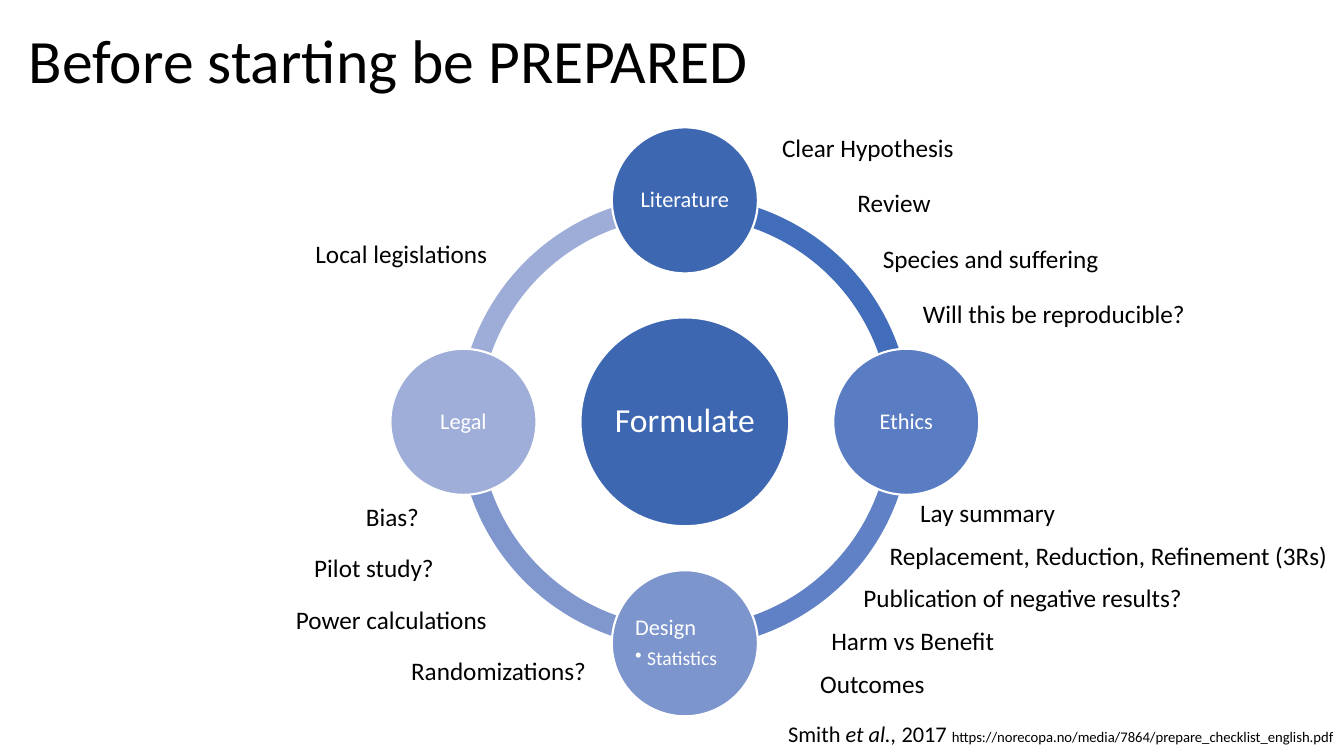
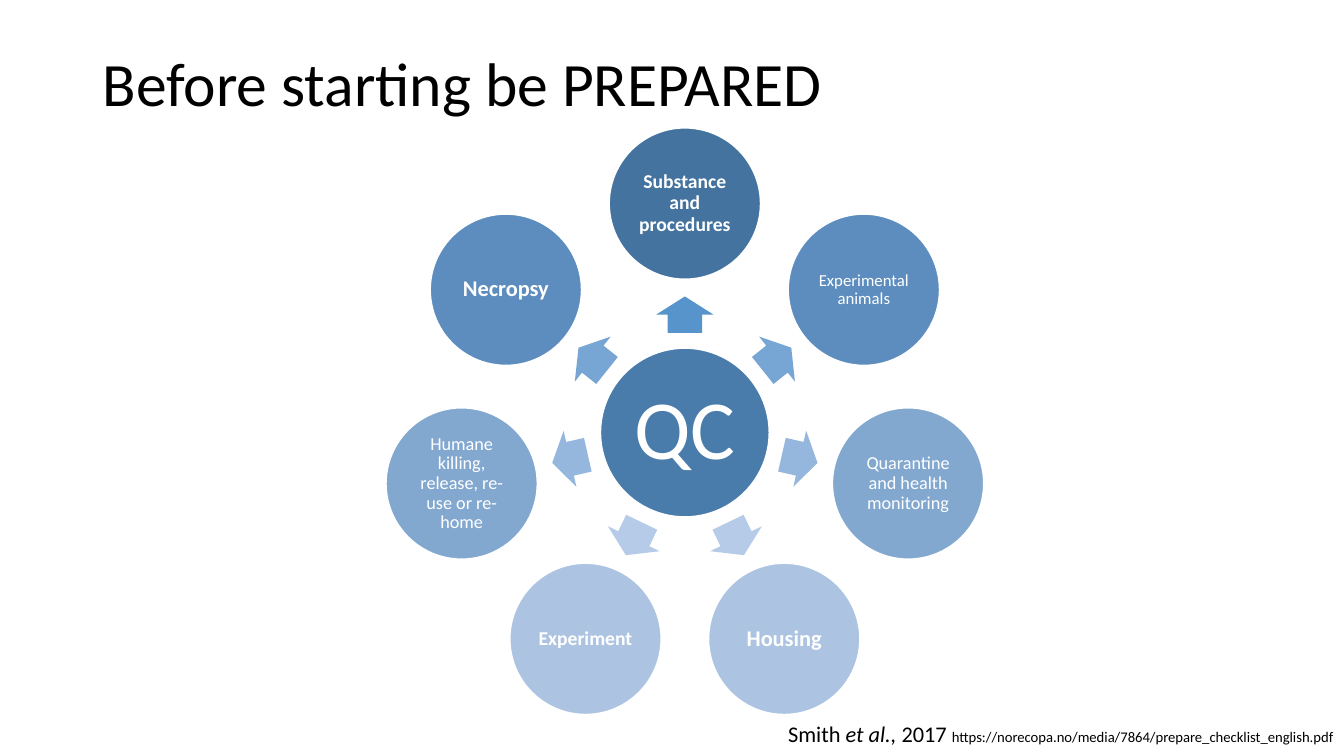
from math import cos, radians, sin

from lxml.etree import SubElement
from pptx import Presentation
from pptx.dml.color import RGBColor
from pptx.enum.shapes import MSO_SHAPE as Shape
from pptx.enum.text import MSO_ANCHOR as Anchor, PP_ALIGN as Align
from pptx.oxml.ns import qn
from pptx.util import Cm, Pt

FONT = "Calibri"
COLORS = {
    "text": "000000", "white": "FFFFFF", "formulate": "3E67B2", "qc": "497CAB",
    "literature": "3E67B2", "ethics": "5A7CC3", "design": "7D95CD", "legal": "9FAED8",
    "arc1": "416DBB", "arc2": "6081C5", "arc3": "8097CE", "arc4": "9EADD8",
    "ball1": "43739E", "ball2": "5D8DBE", "ball3": "83A8D0", "ball4": "ACC4E2",
    "arrow1": "5794CB", "arrow2": "77A5D4", "arrow3": "96B7DD", "arrow4": "B5CBE7",
}
TITLE = "Before starting be PREPARED"
CITATION = [
    ("Smith ", {"size": 16}),
    ("et al., ", {"size": 16, "italic": True}),
    ("2017 ", {"size": 16}),
    ("https://norecopa.no/media/7864/prepare_checklist_english.pdf", {"size": 10.5}),
]

# Clockwise from the top: text, circle colour, colour of the arc that follows
STAGES = [
    ("Literature", "literature", "arc1"),
    ("Ethics", "ethics", "arc2"),
    ("Design", "design", "arc3"),
    ("Legal", "legal", "arc4"),
]
SUB_ITEM = ("Design", "Statistics")
# First top, step, then (text, left, width) for each line, in cm
LABELS = [
    (3.2, 1.4, [("Clear Hypothesis", 19.46, 4.88),
                ("Review", 21.36, 2.36),
                ("Species and suffering", 22, 6.02),
                ("Will this be reproducible?", 23.01, 7.34)]),
    (12.4, 1.08, [("Lay summary", 22.94, 3.96),
                  ("Replacement, Reduction, Refinement (3Rs)", 22.17, 11.68),
                  ("Publication of negative results?", 21.51, 8.89),
                  ("Harm vs Benefit", 20.7, 4.67),
                  ("Outcomes", 20.42, 3.18)]),
    (12.5, 1.3, [("Bias?", 8.97, 1.85),
                 ("Pilot study?", 7.67, 3.56),
                 ("Power calculations", 7.21, 5.38),
                 ("Randomizations?", 10.11, 4.98)]),
    (5.87, 0, [("Local legislations", 7.7, 4.88)]),
]

# Clockwise from the top: text, size, bold, shade
CHECKS = [
    ("Substance and procedures", 14, True, 1),
    ("Experimental animals", 12, False, 2),
    ("Quarantine and health monitoring", 13, False, 3),
    ("Housing", 16, True, 4),
    ("Experiment", 14, True, 4),
    ("Humane killing, release, re-use or re-home", 13, False, 3),
    ("Necropsy", 16, True, 2),
]


def rgb(name):
    """Look up a named colour."""
    return RGBColor.from_string(COLORS[name])


def add_run(p, text, size, color="text", **style):
    """Add a formatted run to a paragraph."""
    r = p.add_run()
    r.text = text
    r.font.color.rgb = rgb(color)
    for key, value in {"name": FONT, "size": Pt(size), **style}.items():
        setattr(r.font, key, value)


def add_text(s, left, top, width, height, runs, wrap=True, **para):
    """Add a text box holding one paragraph of (text, style) runs."""
    tf = s.shapes.add_textbox(Cm(left), Cm(top), Cm(width), Cm(height)).text_frame
    tf.word_wrap = wrap
    p = tf.paragraphs[0]
    for key, value in para.items():
        setattr(p, key, value)
    for text, style in runs:
        add_run(p, text, **style)
    return tf


def add_centred(s, kind, center, width, height, color, outlined=False):
    """Add a preset shape around a centre point."""
    x, y = center
    sp = s.shapes.add_shape(kind, Cm(x - width / 2), Cm(y - height / 2),
                            Cm(width), Cm(height))
    sp.shadow.inherit = False
    sp.fill.solid()
    sp.fill.fore_color.rgb = rgb(color)
    if outlined:
        sp.line.color.rgb = rgb("white")
        sp.line.width = Pt(1.5)
    else:
        sp.line.fill.background()
    return sp


def add_circle(s, center, diameter, color, text, size, inset=0.05, **style):
    """Add a circle with white centred text."""
    tf = add_centred(s, Shape.OVAL, center, diameter, diameter, color, True).text_frame
    for side in ("left", "right", "top", "bottom"):
        setattr(tf, "margin_" + side, Cm(inset))
    tf.word_wrap = True
    tf.vertical_anchor = Anchor.MIDDLE
    p = tf.paragraphs[0]
    p.alignment, p.line_spacing = Align.CENTER, 0.9
    add_run(p, text, size, "white", **style)
    return tf


def add_sub_item(tf, text):
    """Left-align the text of a circle and add a bullet under it."""
    head, p = tf.paragraphs[0], tf.add_paragraph()
    head.space_after = Pt(5.6)
    p.line_spacing = 0.9
    head.alignment = p.alignment = Align.LEFT
    add_run(p, text, 14, "white")
    pPr = p._p.get_or_add_pPr()
    pPr.set("marL", str(Cm(0.3)))
    pPr.set("indent", str(-Cm(0.3)))
    SubElement(pPr, qn("a:buChar")).set("char", "•")


def on_ring(center, radius, angle):
    """Return the point at an angle, clockwise from the right."""
    x, y = center
    return x + radius * cos(radians(angle)), y + radius * sin(radians(angle))


def new_slide(prs, left, top):
    """Add a blank slide with the shared title and citation."""
    s = prs.slides.add_slide(prs.slide_layouts[6])
    tf = add_text(s, left, top, 29.21, 3.68, [(TITLE, {"size": 44})], line_spacing=0.9)
    tf.vertical_anchor = Anchor.MIDDLE
    add_text(s, 15.95, 18.03, 17.91, 0.94, CITATION, alignment=Align.RIGHT)
    return s


def build_cycle(prs):
    """Build the ring of stages around Formulate."""
    s = new_slide(prs, 0.48, -0.25)
    center, step = (17.26, 10.63), 360 / len(STAGES)
    angles = [(270 + i * step) % 360 for i in range(len(STAGES))]
    for angle, (_, _, color) in zip(angles, STAGES):
        arc = add_centred(s, Shape.BLOCK_ARC, center, 11.4, 11.4, color)
        # One adjustment unit is 100000 / 60000 degrees
        for i, value in enumerate((angle * 0.6, (angle + step) % 360 * 0.6, 0.046)):
            arc.adjustments[i] = value
    add_circle(s, center, 5.26, "formulate", "Formulate", 24)
    for angle, (text, color, _) in zip(angles, STAGES):
        tf = add_circle(s, on_ring(center, 5.58, angle), 3.68, color, text, 16)
        if text == SUB_ITEM[0]:
            add_sub_item(tf, SUB_ITEM[1])
    for top, gap, lines in LABELS:
        for i, (text, left, width) in enumerate(lines):
            add_text(s, left, top + i * gap, width, 1.02, [(text, {"size": 18})], wrap=False)


def build_checks(prs):
    """Build the quality checks radiating from QC."""
    s = new_slide(prs, 2.34, 0.33)
    center = (17.26, 10.9)
    add_circle(s, center, 4.27, "qc", "QC", 60, inset=0.2)
    for i, (text, size, bold, shade) in enumerate(CHECKS):
        angle = (270 + i * 360 / len(CHECKS)) % 360
        arrow = add_centred(s, Shape.RIGHT_ARROW, on_ring(center, 2.97, angle),
                            0.92, 1.45, f"arrow{shade}")
        arrow.rotation = angle
        arrow.adjustments[0], arrow.adjustments[1] = 0.6, 0.5
        add_circle(s, on_ring(center, 5.77, angle), 3.83, f"ball{shade}", text, size, bold=bold)


prs = Presentation()
prs.slide_width, prs.slide_height = Cm(33.87), Cm(19.05)
build_cycle(prs)
build_checks(prs)
prs.save("out.pptx")
